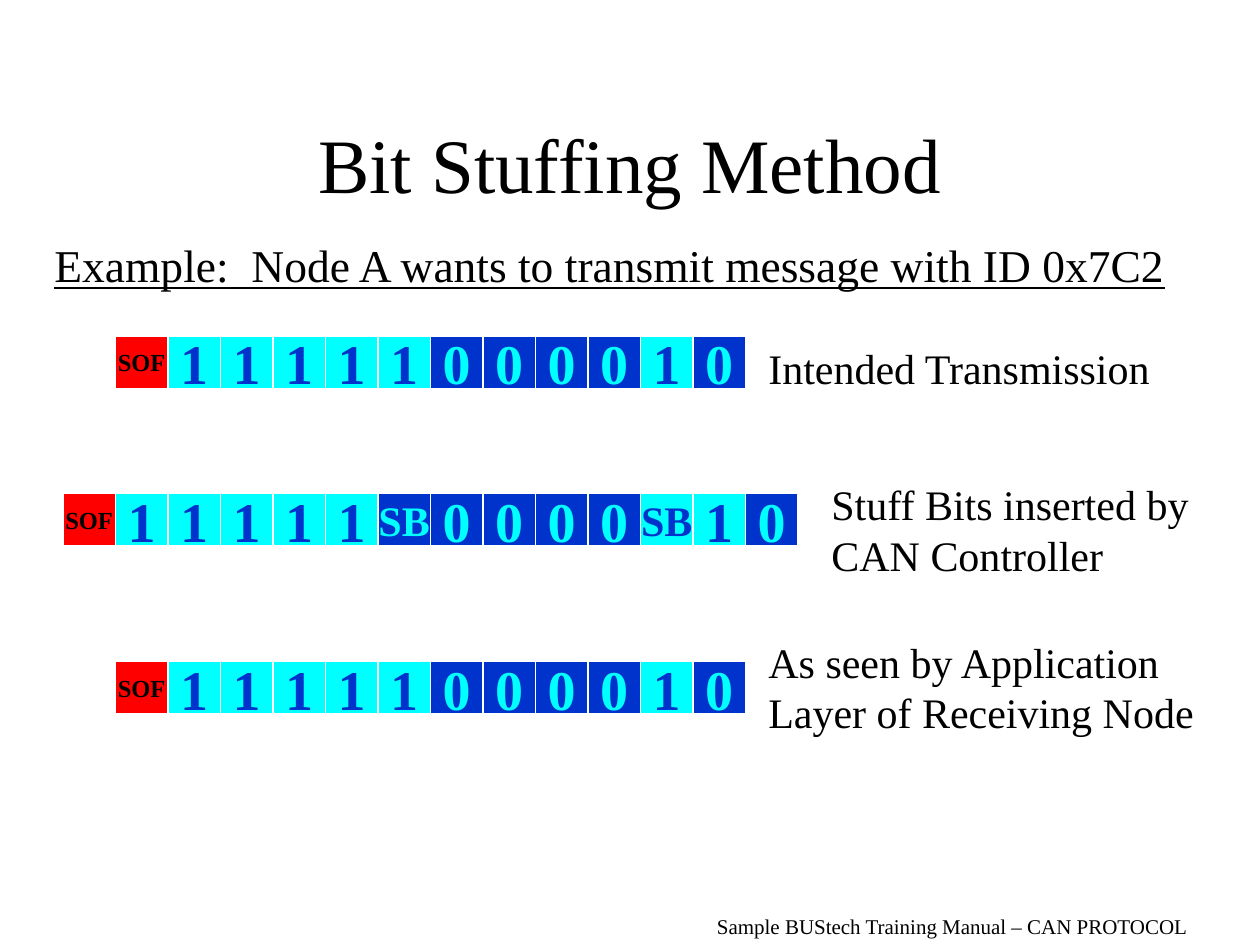
import pptx
import pptx.dml.color
import pptx.enum.shapes
import pptx.enum.text
import pptx.util

PX = 7620  # EMU per px: 120 px to the inch
BIT = 50   # side of one bit cell, px
FONT = "Times New Roman"
COLORS = {"ink": "000000", "edge": "FFFFFF", "sof": "FF0000",
          "one": "00FFFF", "zero": "0033CC"}
ALIGN = pptx.enum.text.PP_ALIGN
ANCHOR = pptx.enum.text.MSO_ANCHOR
AUTO_SIZE = pptx.enum.text.MSO_AUTO_SIZE


def emu(*lengths):
    return [pptx.util.Emu(length * PX) for length in lengths]


def rgb(name):
    return pptx.dml.color.RGBColor.from_string(COLORS[name])


def set_text(owner, lines, size, color="ink", align=ALIGN.LEFT, frame_format=None, **font_format):
    """Write one paragraph per line and apply the frame and font formats."""
    frame = owner.text_frame
    for name, value in (frame_format or {}).items():
        setattr(frame, name, value)
    font_values = {"name": FONT, "size": pptx.util.Pt(size), **font_format}
    for index, line in enumerate(lines):
        paragraph = frame.add_paragraph() if index else frame.paragraphs[0]
        paragraph.alignment = align
        run = paragraph.add_run()
        run.text = line
        for name, value in font_values.items():
            setattr(run.font, name, value)
        run.font.color.rgb = rgb(color)


def add_caption(shapes, box, lines, size, **font_format):
    caption = shapes.add_textbox(*emu(*box))
    set_text(caption, lines, size, frame_format={
        "word_wrap": True, "auto_size": AUTO_SIZE.SHAPE_TO_FIT_TEXT}, **font_format)


def add_title(shapes, box, text):
    title = shapes.add_textbox(*emu(*box))
    set_text(title, [text], 44, align=ALIGN.CENTER, frame_format={
        "word_wrap": True, "vertical_anchor": ANCHOR.MIDDLE})


def add_bit(shapes, left, top, text, size, fill, color):
    bit = shapes.add_shape(pptx.enum.shapes.MSO_SHAPE.RECTANGLE,
                           *emu(left, top, BIT, BIT))
    bit.shadow.inherit = False
    bit.fill.solid()
    bit.fill.fore_color.rgb = rgb(fill)
    bit.line.color.rgb = rgb("edge")
    bit.line.width = pptx.util.Pt(0.75)
    set_text(bit, [text], size, color, ALIGN.CENTER, bold=True, frame_format={
        "word_wrap": False, "vertical_anchor": ANCHOR.MIDDLE})


def add_frame_row(shapes, left, top, bits):
    """Lay out the bits side by side; a stuff bit inverts the bit before it."""
    inverse = {"one": "zero", "zero": "one"}
    level = "zero"
    for index, text in enumerate(bits.split()):
        place = (left + index * BIT, top, text)
        if text == "SOF":
            add_bit(shapes, *place, 14, "sof", "ink")
            continue
        level = inverse[level] if text == "SB" else {"1": "one", "0": "zero"}[text]
        add_bit(shapes, *place, 24 if text == "SB" else 32, level, inverse[level])


def main():
    deck = pptx.Presentation()
    deck.slide_width, deck.slide_height = emu(1200, 900)
    shapes = deck.slides.add_slide(deck.slide_layouts[6]).shapes

    # Heading and example
    add_title(shapes, (90, 80, 1020, 150), "Bit Stuffing Method")
    add_caption(shapes, (40, 220, 1110, 65),
                ["Example:  Node A wants to transmit message with ID 0x7C2"],
                26, underline=True)

    # Message frames with their captions
    message = "SOF 1 1 1 1 1 0 0 0 0 1 0"
    stuffed = "SOF 1 1 1 1 1 SB 0 0 0 0 SB 1 0"
    add_frame_row(shapes, 110, 320, message)
    add_caption(shapes, (720, 320, 410, 60), ["Intended Transmission"], 24)

    grouped_rows = [
        (60, 470, stuffed, (780, 450, 370, 108),
         ["Stuff Bits inserted by", "CAN Controller"]),
        (110, 630, message, (720, 600, 430, 108),
         ["As seen by Application Layer of Receiving Node"]),
    ]
    for left, top, bits, caption_box, caption in grouped_rows:
        row = shapes.add_group_shape().shapes
        add_frame_row(row, left, top, bits)
        add_caption(row, caption_box, caption, 24)

    # Footer
    add_caption(shapes, (671, 864, 500, 36),
                ["Sample BUStech Training Manual – CAN PROTOCOL"], 12)

    deck.save("out.pptx")


if __name__ == "__main__":
    main()
